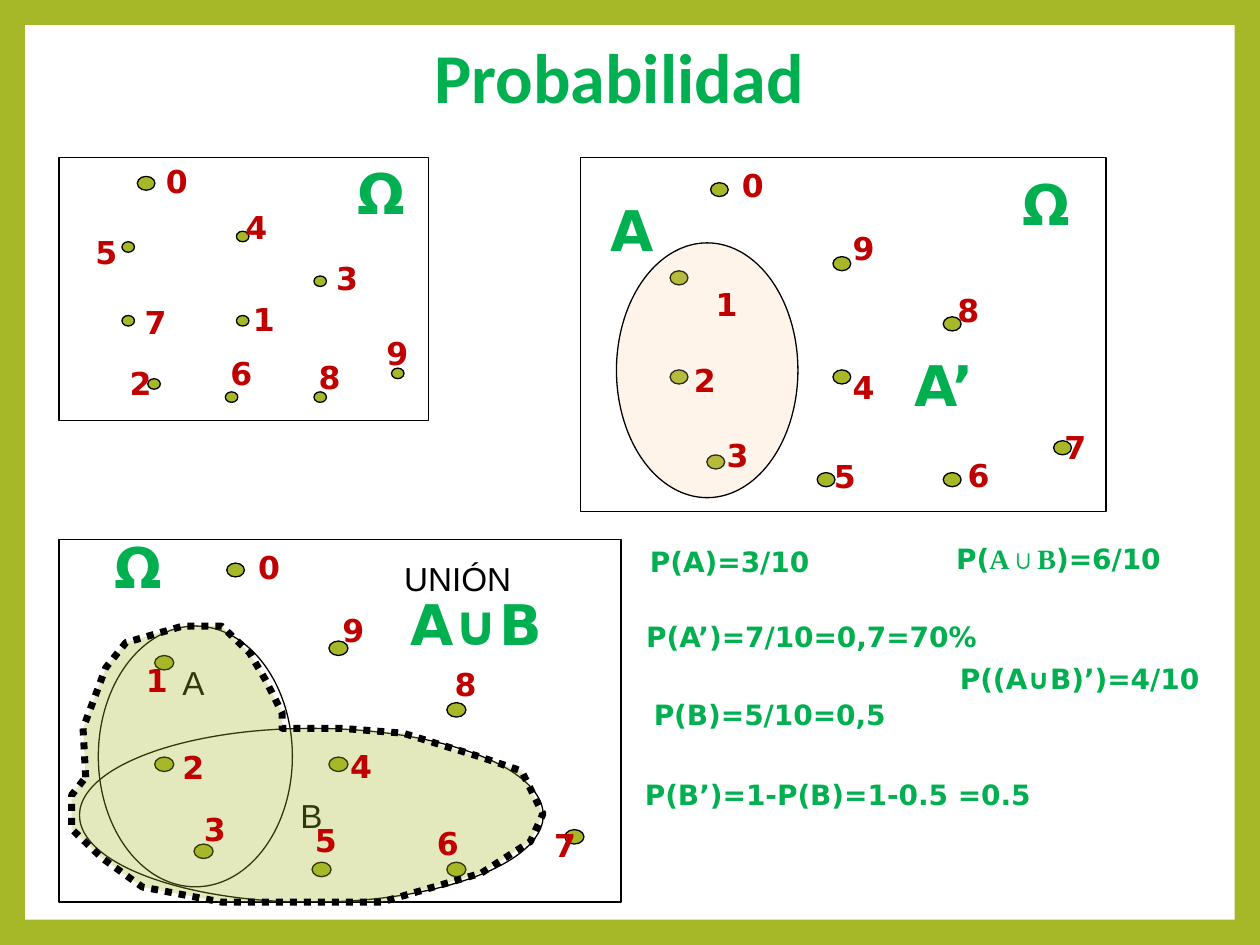
from dataclasses import dataclass
from typing import NamedTuple

from lxml import etree
from pptx import Presentation
from pptx import util as u
from pptx.dml import color
from pptx.enum import dml, shapes, text
from pptx.oxml import ns
from pptx.shapes import autoshape, shapetree

OLIVE, GREEN, RED, BLACK, WHITE, PEACH = "A6B727", "00B050", "C00000", "000000", "FFFFFF", "FFCC99"
LABEL_FONT = "DejaVu Sans"
RECTANGLE, OVAL = shapes.MSO_SHAPE.RECTANGLE, shapes.MSO_SHAPE.OVAL


class Box(NamedTuple):
    left: float
    top: float
    width: float
    height: float

    def lengths(self) -> list[u.Length]:
        return [u.Pt(value) for value in self]


class Run(NamedTuple):
    text: str
    font: str


@dataclass
class Panel:
    frame: Box
    omega: Box
    zero_dot: tuple[float, float]
    digits: list[tuple[float, float]]


@dataclass
class Formula:
    box: Box
    content: str | list[Run]


DOT_FRACTIONS = [
    (0.17, 0.32), (0.17, 0.6), (0.45, 0.89), (0.48, 0.28), (0.69, 0.89),
    (0.24, 0.84), (0.48, 0.6), (0.9, 0.8), (0.69, 0.45),
]

SAMPLE_SPACE = Panel(
    Box(33.8, 90, 211, 150.5), Box(197.3, 87.1, 41.8, 46.1), (78.5, 100.8),
    [(87.8, 89.3), (137.5, 167.8), (67, 204.5), (185, 144.7), (133.2, 115.2),
     (47.5, 129.6), (124.6, 198.7), (75.6, 169.9), (175, 200.9), (213.8, 187.2)],
)
COMPLEMENT = Panel(
    Box(331.9, 90, 300.2, 202.3), Box(577.4, 93.6, 41.8, 46.1), (406.1, 104.4),
    [(416.9, 91.4), (401.8, 159.1), (389.5, 203), (408.2, 245.5), (480.2, 206.6),
     (469.4, 257.8), (545.8, 257), (601.2, 241.2), (540, 162.7), (480.2, 127.4)],
)
UNION = Panel(
    Box(33.8, 308.3, 321.1, 207.2), Box(58.3, 301, 41.8, 46.1), (129.6, 321.8),
    [(140.4, 309.6), (76.3, 374.4), (97.2, 424.1), (109.4, 459.4), (193, 423.4),
     (172.8, 465.8), (242.6, 467.3), (309.6, 468.7), (252.7, 376.6), (188.6, 345.6)],
)

UNION_OUTLINE = [
    (49, 444.2), (47.5, 416.2), (60.5, 381.6), (72, 367.2), (104.4, 357.8), (126.7, 357.8),
    (142.6, 373), (151.9, 388.8), (161.3, 407.5), (161.3, 416.2), (195.1, 416.2), (230.4, 419),
    (275, 432.7), (298.1, 440.6), (310.3, 465.1), (303.1, 481), (275, 499), (218.2, 515.5),
    (161.3, 515.5), (126.7, 515.5), (81.4, 506.9), (58.3, 490.3), (41, 473.8), (41, 454.3),
]

FORMULAS = [
    Formula(Box(364.3, 307.4, 136.1, 26.6), "P(A)=3/10"),
    Formula(Box(362.2, 350.6, 211, 46.1), "P(A’)=7/10=0,7=70%"),
    Formula(Box(366.5, 395.3, 178.6, 26.6), "P(B)=5/10=0,5"),
    Formula(Box(361.4, 440.6, 316.1, 26.6), "P(B’)=1-P(B)=1-0.5 =0.5"),
    Formula(Box(539.3, 306, 160.6, 26.6),
            [Run("P(", LABEL_FONT), Run("A∪B", "Times New Roman"), Run(")=6/10", LABEL_FONT)]),
    Formula(Box(541.4, 374.4, 164.9, 26.6), "P((A∪B)’)=4/10"),
]


def rgb(value: str) -> color.RGBColor:
    return color.RGBColor.from_string(value)


def paint(shape: autoshape.Shape, fill: str | None, line: str | None,
          weight: float = 0.75, opacity: int = 100) -> None:
    shape.shadow.inherit = False
    if fill:
        shape.fill.solid()
        shape.fill.fore_color.rgb = rgb(fill)
        if opacity < 100:
            solid_color = shape.fill._xPr.find(ns.qn("a:solidFill"))[0]
            etree.SubElement(solid_color, ns.qn("a:alpha"), val=str(opacity * 1000))
    else:
        shape.fill.background()
    if line:
        shape.line.color.rgb = rgb(line)
        shape.line.width = u.Pt(weight)
    else:
        shape.line.fill.background()


def draw_shape(tree: shapetree._BaseGroupShapes, kind: shapes.MSO_SHAPE, box: Box,
               fill: str | None = None, line: str | None = BLACK,
               opacity: int = 100) -> autoshape.Shape:
    shape = tree.add_shape(kind, *box.lengths())
    paint(shape, fill, line, opacity=opacity)
    return shape


def write(shape: autoshape.Shape, content: str | list[Run], *, size: float, ink: str,
          font: str = LABEL_FONT, bold: bool = True, wrap: bool = True, grow: bool = True,
          align: text.PP_ALIGN = text.PP_ALIGN.LEFT,
          anchor: text.MSO_ANCHOR = text.MSO_ANCHOR.TOP, spacing: float = 1.0) -> None:
    frame = shape.text_frame
    frame.word_wrap = wrap
    frame.auto_size = text.MSO_AUTO_SIZE.SHAPE_TO_FIT_TEXT if grow else text.MSO_AUTO_SIZE.NONE
    frame.vertical_anchor = anchor
    paragraph = frame.paragraphs[0]
    paragraph.alignment = align
    paragraph.line_spacing = spacing
    for part in [Run(content, font)] if isinstance(content, str) else content:
        run = paragraph.add_run()
        run.text = part.text
        run.font.name = part.font
        run.font.size = u.Pt(size)
        run.font.bold = bold
        run.font.color.rgb = rgb(ink)


def add_label(tree: shapetree._BaseGroupShapes, box: Box, content: str | list[Run],
              **style) -> None:
    write(tree.add_textbox(*box.lengths()), content, **style)


def draw_panel(tree: shapetree._BaseGroupShapes, panel: Panel) -> shapetree.GroupShapes:
    group = tree.add_group_shape().shapes
    frame = panel.frame
    draw_shape(group, RECTANGLE, frame)
    for across, down in DOT_FRACTIONS:
        dot = Box(frame.left + across * frame.width, frame.top + down * frame.height,
                  0.034 * frame.width, 0.04 * frame.height)
        draw_shape(group, OVAL, dot, OLIVE)
    return group


def draw_panel_labels(tree: shapetree._BaseGroupShapes, panel: Panel) -> None:
    add_label(tree, panel.omega, "Ω", size=32, ink=GREEN, wrap=False)
    draw_shape(tree, OVAL, Box(*panel.zero_dot, 10.1, 7.9), OLIVE)
    for digit, (left, top) in enumerate(panel.digits):
        add_label(tree, Box(left, top, 31, 28.8), str(digit), size=18, ink=RED)


def draw_union_outline(tree: shapetree._BaseGroupShapes) -> None:
    start, *rest = [(u.Pt(x), u.Pt(y)) for x, y in UNION_OUTLINE]
    builder = tree.build_freeform(*start)
    builder.add_line_segments(rest, close=True)
    outline = builder.convert_to_shape()
    paint(outline, OLIVE, BLACK, weight=4, opacity=30)
    outline.line.dash_style = dml.MSO_LINE.ROUND_DOT


def main() -> None:
    presentation = Presentation()
    presentation.slide_width, presentation.slide_height = u.Pt(720), u.Pt(540)
    slide = presentation.slides.add_slide(presentation.slide_layouts[6])
    slide.background.fill.solid()
    slide.background.fill.fore_color.rgb = rgb(OLIVE)
    tree = slide.shapes
    plain = dict(size=19, ink=BLACK, font="Arial", bold=False)

    draw_shape(tree, RECTANGLE, Box(14.4, 14.4, 691.2, 511.2), WHITE, None)
    add_label(tree, Box(38.2, -7.2, 631.4, 106.6), "Probabilidad", size=40, ink=GREEN,
              font="Calibri", grow=False, align=text.PP_ALIGN.CENTER,
              anchor=text.MSO_ANCHOR.MIDDLE, spacing=0.9)

    draw_panel(tree, SAMPLE_SPACE)

    complement = draw_panel(tree, COMPLEMENT)
    draw_shape(complement, OVAL, Box(352.3, 138.8, 103.7, 145.6), PEACH, opacity=20)
    add_label(complement, Box(342, 108, 39.6, 46.1), "A", size=32, ink=GREEN, wrap=False)
    add_label(complement, Box(515.5, 196.6, 50.4, 46.1), "A’", size=32, ink=GREEN, wrap=False)

    union = draw_panel(tree, UNION)
    draw_shape(union, OVAL, Box(56.2, 357.8, 110.9, 149))
    add_label(union, Box(97.2, 375.1, 52.6, 43.9), "A", wrap=False, **plain)
    event_b = draw_shape(union, OVAL, Box(45.4, 416.2, 265, 99.3))
    write(event_b, "B", wrap=False, grow=False, align=text.PP_ALIGN.CENTER,
          anchor=text.MSO_ANCHOR.MIDDLE, **plain)
    draw_union_outline(tree)
    add_label(tree, Box(223.9, 315.4, 147.6, 30.2), "UNIÓN", **plain)
    add_label(tree, Box(227.5, 333.4, 114.5, 46.1), "A∪B", size=32, ink=GREEN)

    for panel in (SAMPLE_SPACE, COMPLEMENT, UNION):
        draw_panel_labels(tree, panel)
    for formula in FORMULAS:
        add_label(tree, formula.box, formula.content, size=16, ink=GREEN)

    presentation.save("out.pptx")


if __name__ == "__main__":
    main()
